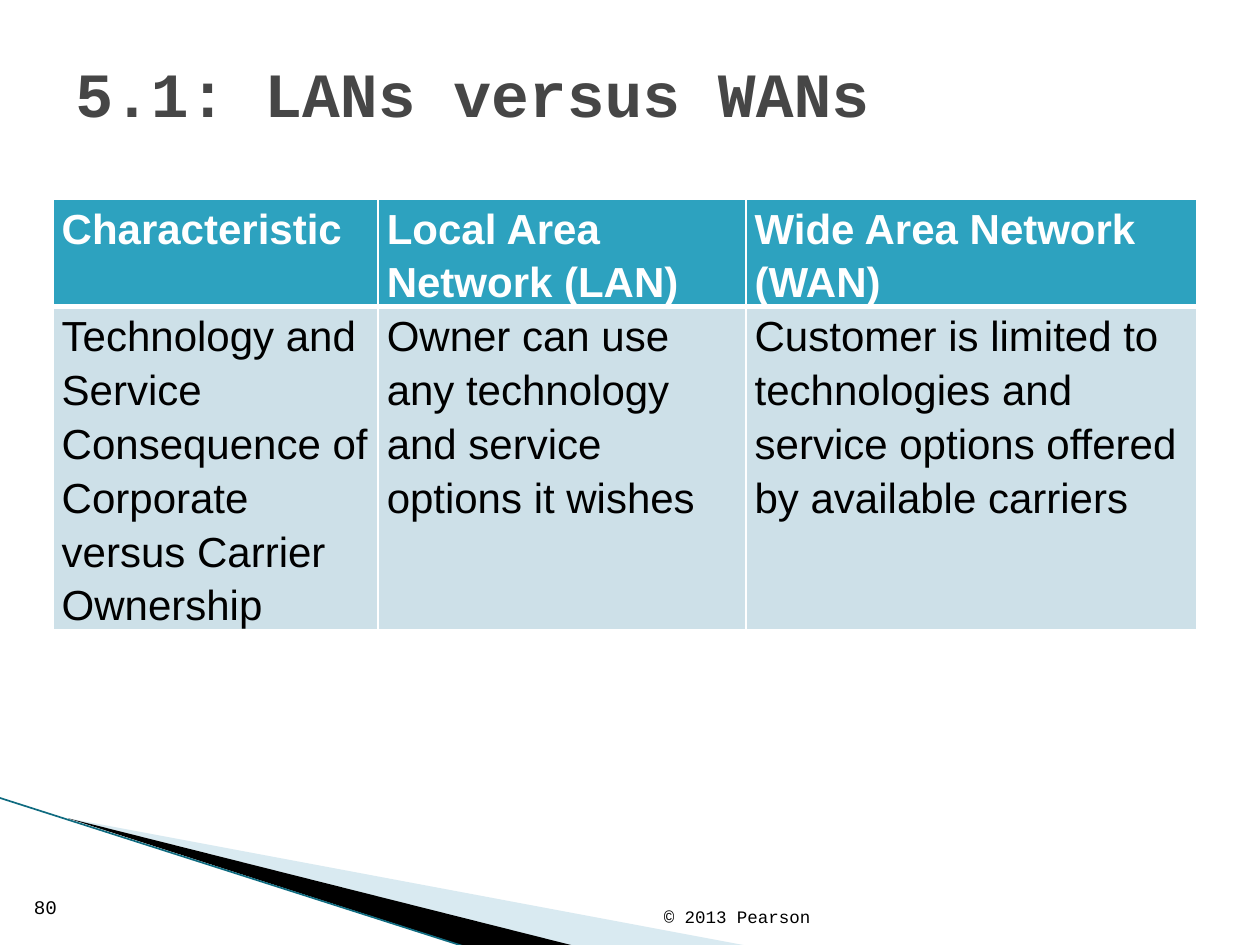
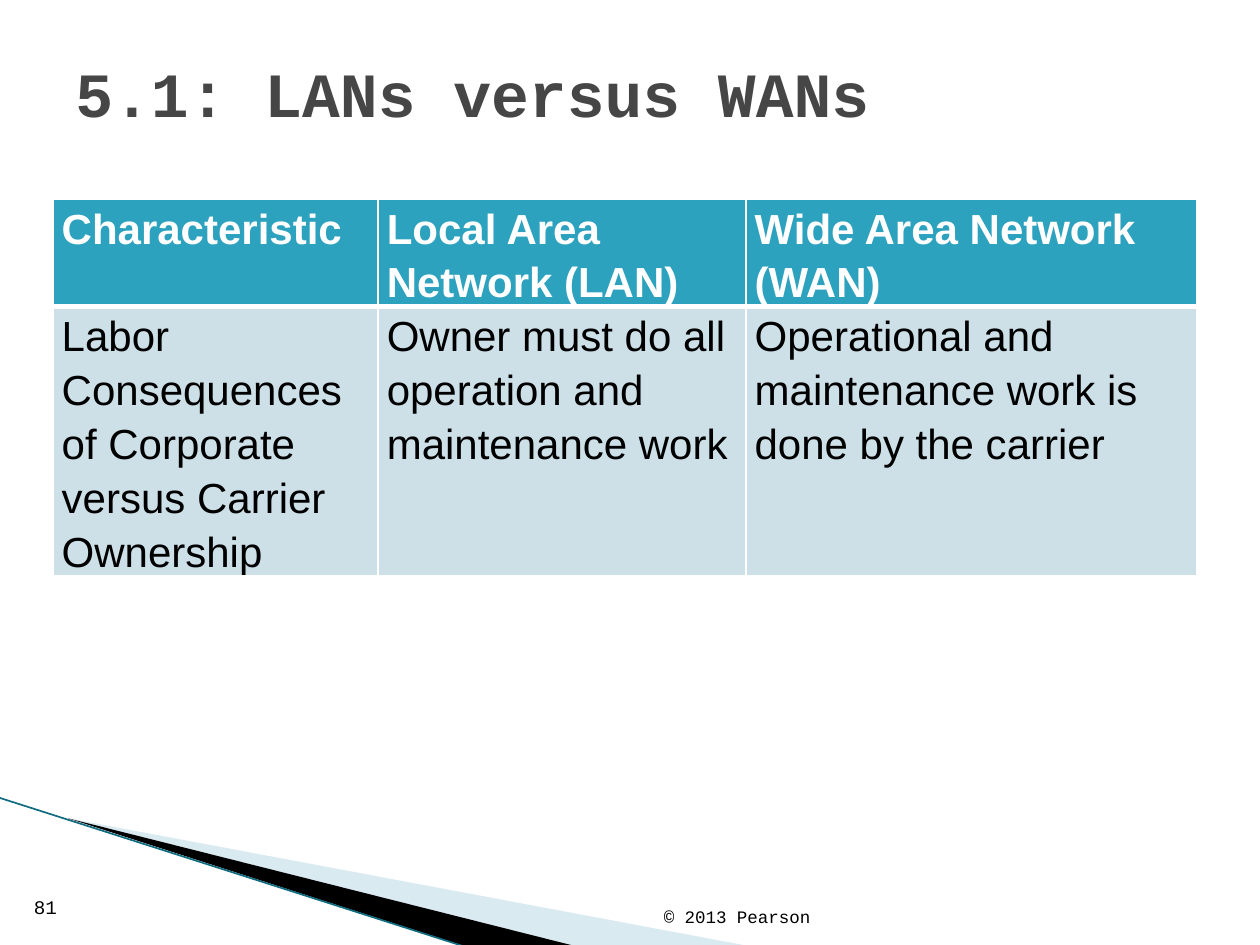
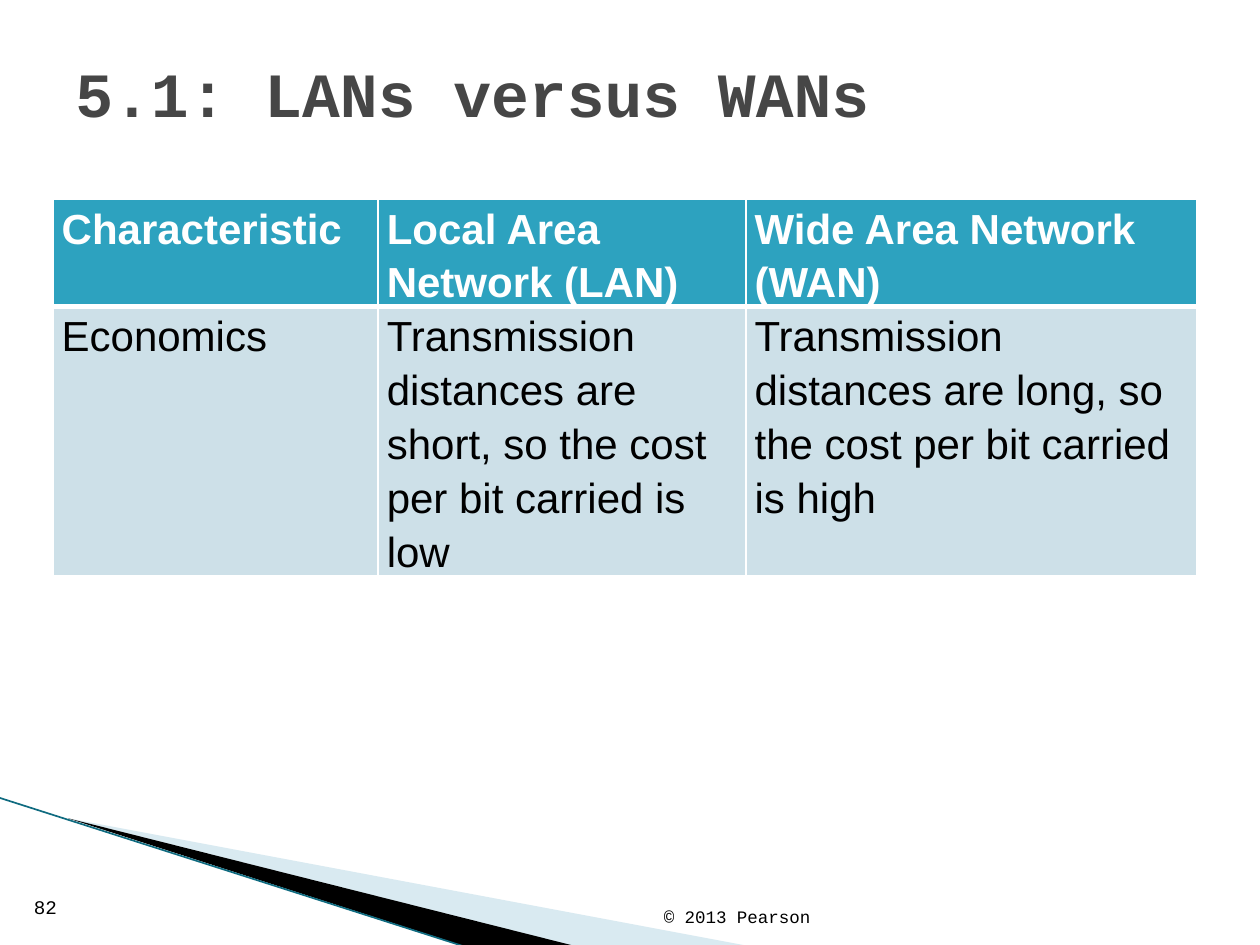
from lxml import etree
from pptx import Presentation
from pptx.dml.color import RGBColor
from pptx.enum.shapes import MSO_CONNECTOR
from pptx.enum.text import MSO_ANCHOR
from pptx.oxml.ns import qn
from pptx.util import Inches, Pt

SLIDE_WIDTH, SLIDE_HEIGHT = Inches(10), Inches(7.5)
COLUMN, ROW = SLIDE_WIDTH // 100, SLIDE_HEIGHT // 75
STRAIGHT = MSO_CONNECTOR.STRAIGHT
MIDDLE, BOTTOM = MSO_ANCHOR.MIDDLE, MSO_ANCHOR.BOTTOM

WHITE = RGBColor(0xFF, 0xFF, 0xFF)
BLACK = RGBColor(0x00, 0x00, 0x00)
TITLE_GRAY = RGBColor(0x46, 0x46, 0x46)
HEADER_TEAL = RGBColor(0x2D, 0xA2, 0xBF)
BODY_BLUE = RGBColor(0xCD, 0xE0, 0xE8)
WEDGE_BLUE = RGBColor(0xA0, 0xCB, 0xDC)
EDGE_TEAL = RGBColor(0x0F, 0x6B, 0x80)

TITLE_FONT, TABLE_FONT = "Courier New", "Arial"
TITLE = "5.1: LANs versus WANs"
COPYRIGHT = "© 2013 Pearson"
FIRST_PAGE = 80

# Boxes are left, top, width, height in grid columns and rows.
TITLE_BOX = (5, 3, 90, 8.7)
TABLE_BOX = (4.2, 15.8, 90.8, 34.1)
NUMBER_BOX = (1.7, 70.2, 13.3, 3.2)
COPYRIGHT_BOX = (51.7, 70.1, 21, 4)
CORNER_BOX = (0, 63.3, 59.5, 11.8)

COLUMN_SHARES = (2.58, 2.92, 3.58)
LINE_HEIGHT = Pt(30.6)
HEADERS = ("Characteristic", "Local Area Network (LAN)", "Wide Area Network (WAN)")
# Each entry: the comparison row and the number of lines its longest cell takes.
COMPARISONS = [
    (("Technology and Service Consequence of Corporate versus Carrier Ownership",
      "Owner can use any technology and service options it wishes",
      "Customer is limited to technologies and service options offered "
      "by available carriers"), 6),
    (("Labor Consequences of Corporate versus Carrier Ownership",
      "Owner must do all operation and maintenance work",
      "Operational and maintenance work is done by the carrier"), 5),
    (("Economics",
      "Transmission distances are short, so the cost per bit carried is low",
      "Transmission distances are long, so the cost per bit carried is high"), 5),
]


def to_lengths(box):
    left, top, width, height = box
    return (round(left * COLUMN), round(top * ROW),
            round(width * COLUMN), round(height * ROW))


def style_paragraph(para, name, size, color, bold=False):
    para.font.name = name
    para.font.size = Pt(size)
    para.font.color.rgb = color
    para.font.bold = bold


def add_text(page, box, text, size, color=BLACK, bold=False, anchor=BOTTOM):
    frame = page.shapes.add_textbox(*to_lengths(box)).text_frame
    frame.word_wrap = True
    frame.vertical_anchor = anchor
    frame.text = text
    style_paragraph(frame.paragraphs[0], TITLE_FONT, size, color, bold)


def add_wedge(page, points, color, opacity=100):
    builder = page.shapes.build_freeform(*points[0])
    builder.add_line_segments(points[1:])
    wedge = builder.convert_to_shape()
    wedge.shadow.inherit = False
    wedge.fill.solid()
    wedge.fill.fore_color.rgb = color
    wedge.line.fill.background()
    if opacity < 100:
        fill_color = next(wedge.fill._xPr.iter(qn("a:srgbClr")))
        etree.SubElement(fill_color, qn("a:alpha"), val=str(opacity * 1000))


def add_corner(page, box):
    """Draw the two wedges and the thin edge at the lower left."""
    left, top, width, height = to_lengths(box)

    def point(across, down):
        return round(left + across * COLUMN), round(top + down * ROW)

    right, floor = left + width, top + height
    tip = point(5.4, 1.65)
    add_wedge(page, [tip, (right, floor), point(45.6, 11.8)], WEDGE_BLUE, 40)
    add_wedge(page, [tip, point(45.7, 11.8), point(37.2, 11.9)], BLACK)
    edge = page.shapes.add_connector(STRAIGHT, *point(-0.1, 0), *point(37.1, 11.9))
    edge.line.color.rgb = EDGE_TEAL
    edge.line.width = Pt(0.95)
    etree.SubElement(edge._element.spPr, qn("a:effectLst"))


def set_borders(cell, widths):
    """Give the cell white borders: left, right, top and bottom, in points."""
    properties = cell._tc.get_or_add_tcPr()
    for index, (side, width) in enumerate(zip("LRTB", widths)):
        border = etree.Element(qn(f"a:ln{side}"), w=str(Pt(width)))
        fill = etree.SubElement(border, qn("a:solidFill"))
        etree.SubElement(fill, qn("a:srgbClr"), val=str(WHITE))
        properties.insert(index, border)


def fill_cell(cell, text, is_header):
    cell.margin_left = cell.margin_right = Inches(0.07)
    cell.margin_top = cell.margin_bottom = 0
    cell.fill.solid()
    cell.fill.fore_color.rgb = HEADER_TEAL if is_header else BODY_BLUE
    set_borders(cell, (1, 1, 1, 3) if is_header else (1, 1, 3, 1))
    cell.text = text
    para = cell.text_frame.paragraphs[0]
    para.line_spacing = 1.15
    para.space_after = Pt(3)
    style_paragraph(para, TABLE_FONT, 24, WHITE if is_header else BLACK, is_header)


def add_comparison(page, box, values, line_count):
    left, top, width, _ = to_lengths(box)
    rows = (HEADERS, values)
    line_counts = (2, line_count)
    table = page.shapes.add_table(
        len(rows), len(HEADERS), left, top, width, LINE_HEIGHT * sum(line_counts)).table
    for column, share in zip(table.columns, COLUMN_SHARES):
        column.width = round(width * share / sum(COLUMN_SHARES))
    for row_index, texts in enumerate(rows):
        table.rows[row_index].height = LINE_HEIGHT * line_counts[row_index]
        for column_index, text in enumerate(texts):
            fill_cell(table.cell(row_index, column_index), text, row_index == 0)


def add_page(deck, number, values, line_count):
    page = deck.slides.add_slide(deck.slide_layouts[6])
    add_corner(page, CORNER_BOX)
    add_comparison(page, TABLE_BOX, values, line_count)
    add_text(page, TITLE_BOX, TITLE, 36, TITLE_GRAY, bold=True, anchor=MIDDLE)
    add_text(page, NUMBER_BOX, str(number), 11)
    add_text(page, COPYRIGHT_BOX, COPYRIGHT, 10)


def main():
    deck = Presentation()
    deck.slide_width, deck.slide_height = SLIDE_WIDTH, SLIDE_HEIGHT
    for number, (values, line_count) in enumerate(COMPARISONS, FIRST_PAGE):
        add_page(deck, number, values, line_count)
    deck.save("out.pptx")


if __name__ == "__main__":
    main()
